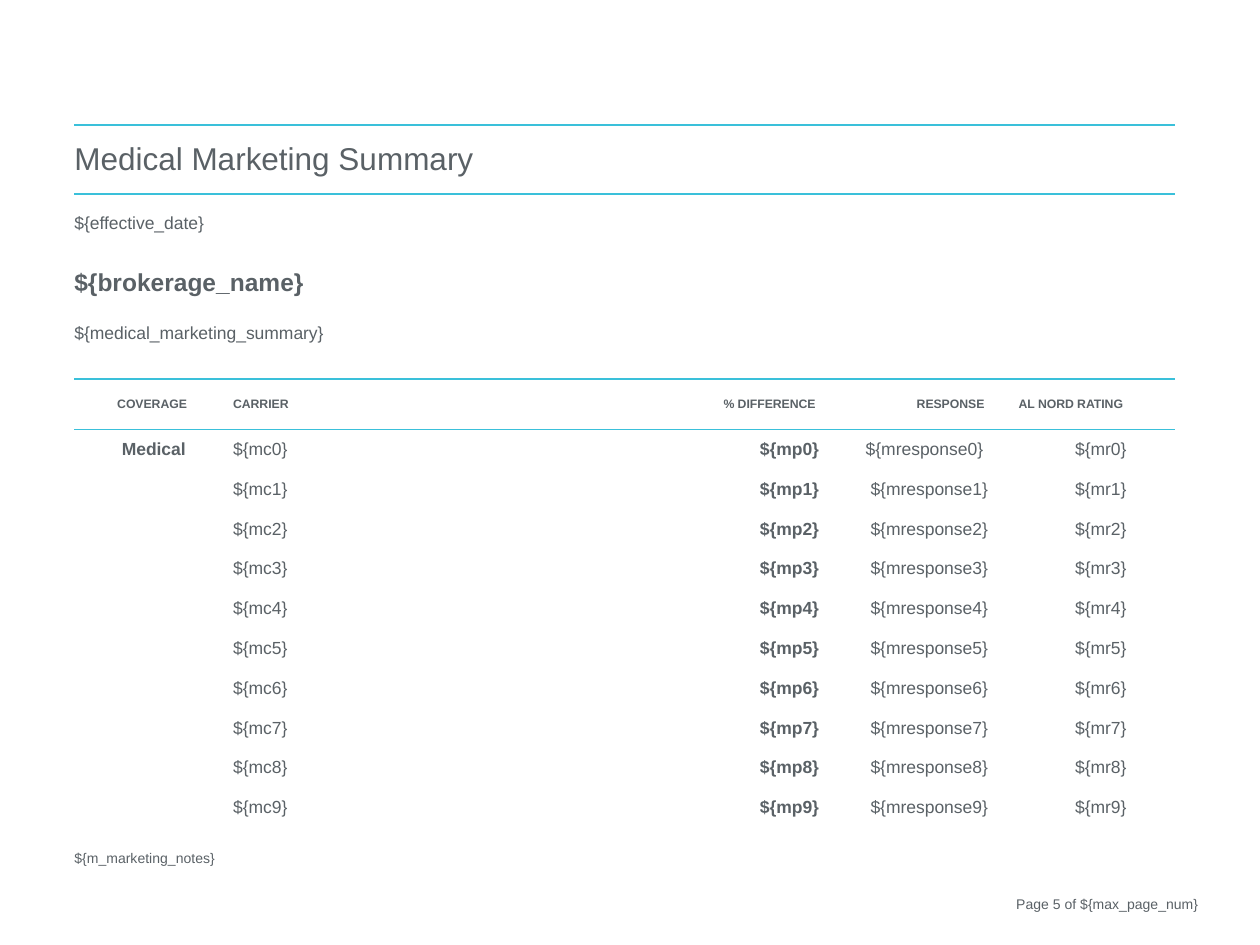
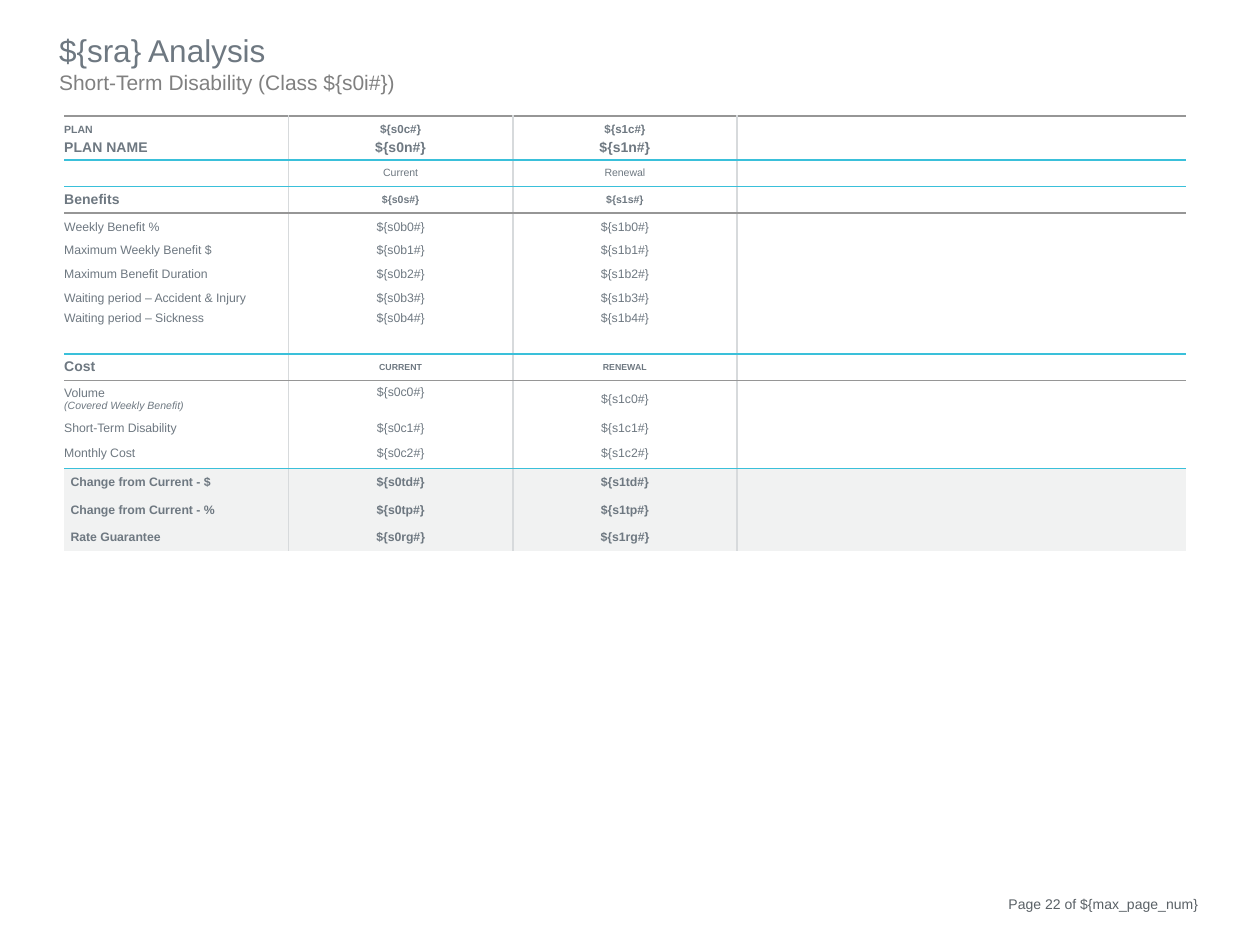
from lxml import etree
from pptx import Presentation
from pptx.dml.color import RGBColor
from pptx.enum.text import MSO_ANCHOR as Anchor, PP_ALIGN as Align
from pptx.oxml.ns import qn
from pptx.util import Inches, Pt

FONT = "Arial"
TEXT, SLATE, SUBTITLE = "5A6166", "6E7881", "808080"
CYAN, RULE_GRAY, DIVIDER, SHADE = "3AC0DA", "969696", "D7DADC", "F1F2F2"
NO_STYLE = "{2D5ABB26-0587-4C30-8999-92F81FD0307C}"

CARRIER_COLUMNS = [1.26, 2.21, 2.44, 1.34, 1.1, 0.39]
CARRIER_HEADINGS = ["COVERAGE ", "CARRIER", "% DIFFERENCE ", "RESPONSE ", "AL NORD RATING "]
CARRIER_ALIGNS = [Align.CENTER, Align.LEFT, Align.RIGHT, Align.RIGHT, Align.RIGHT]
CARRIER_COUNT = 10

# height, label, current, renewal, label size, value size, bold
PLAN_ROWS = [
    (0.16, "PLAN", "${s0c#}", "${s1c#}", 6, 6.6, True),
    (0.19, "PLAN NAME", "${s0n#}", "${s1n#}", 8, 8, True),
    (0.21, "", "Current", "Renewal", 6, 6, False),
    (0.21, "Benefits", "${s0s#}", "${s1s#}", 8, 6, True),
    (0.22, "Weekly Benefit %", "${s0b0#}", "${s1b0#}", 7, 7, False),
    (0.16, "Maximum Weekly Benefit $", "${s0b1#}", "${s1b1#}", 7, 7, False),
    (0.22, "Maximum Benefit Duration", "${s0b2#}", "${s1b2#}", 7, 7, False),
    (0.16, "Waiting period – Accident & Injury", "${s0b3#}", "${s1b3#}", 7, 7, False),
    (0.16, "Waiting period – Sickness", "${s0b4#}", "${s1b4#}", 7, 7, False),
    (0.2, "", "", "", 7, 7, False),
    (0.21, "Cost", "CURRENT", "RENEWAL", 8, 5, True),
    (0.3, "Volume", "${s0c0#}", "${s1c0#}", 7, 7, False),
    (0.16, "Short-Term Disability", "${s0c1#}", "${s1c1#}", 7, 7, False),
    (0.24, "Monthly Cost", "${s0c2#}", "${s1c2#}", 7, 7, False),
    (0.22, "Change from Current - $", "${s0td#}", "${s1td#}", 7, 7, True),
    (0.21, "Change from Current - %", "${s0tp#}", "${s1tp#}", 7, 7, True),
    (0.22, "Rate Guarantee", "${s0rg#}", "${s1rg#}", 7, 7, True),
]
PLAN_RULES = {0: RULE_GRAY, 2: CYAN, 3: CYAN, 4: RULE_GRAY, 10: CYAN, 11: RULE_GRAY, 14: CYAN}
VOLUME_ROW, FIRST_SHADED_ROW = 11, 14


def rgb(color):
    """Turn a hex string into a colour."""
    return RGBColor.from_string(color)


def add_run(paragraph, text, size, color, bold=False, italic=False):
    """Add one formatted run to a paragraph."""
    run = paragraph.add_run()
    run.text = text
    font = run.font
    font.name, font.size, font.bold, font.italic = FONT, Pt(size), bold, italic
    font.color.rgb = rgb(color)


def add_text(slide, box, lines, align=Align.LEFT):
    """Add a text box with one (text, size, colour) line per paragraph."""
    frame = slide.shapes.add_textbox(*map(Inches, box)).text_frame
    frame.word_wrap = True
    for index, line in enumerate(lines):
        paragraph = frame.add_paragraph() if index else frame.paragraphs[0]
        paragraph.alignment = align
        add_run(paragraph, *line)


def add_footer(slide, number):
    """Add the page number at the bottom right."""
    text = f"Page {number} of ${{max_page_num}}"
    add_text(slide, (7.36, 7.06, 2.25, 0.33), [(text, 8, TEXT)], Align.RIGHT)


def set_margins(cell, margin):
    """Give a cell the same margin on all sides."""
    cell.margin_left = cell.margin_right = Inches(margin)
    cell.margin_top = cell.margin_bottom = Inches(margin)


def add_table(slide, left, top, widths, heights):
    """Add a plain table whose empty cells cannot stretch their rows."""
    frame = slide.shapes.add_table(len(heights), len(widths), Inches(left), Inches(top),
                                   Inches(sum(widths)), Inches(sum(heights)))
    table = frame.table
    table.first_row = table.horz_banding = False
    table._tbl.tblPr.find(qn("a:tableStyleId")).text = NO_STYLE
    for column, width in zip(table.columns, widths):
        column.width = Inches(width)
    for row, height in zip(table.rows, heights):
        row.height = Inches(height)
    for cell in table.iter_cells():
        set_margins(cell, 0)
        cell.vertical_anchor = Anchor.MIDDLE
        cell.text_frame.paragraphs[0]._p.get_or_add_endParaRPr().set("sz", "500")
    return table


def write_cell(cell, text, size, color, bold=False, align=Align.LEFT):
    """Write one run into the first paragraph of a cell."""
    paragraph = cell.text_frame.paragraphs[0]
    paragraph.alignment = align
    if text:
        add_run(paragraph, text, size, color, bold)


def set_borders(cell, left=None, right=None, top=None, bottom=None):
    """Draw one-point borders on the sides with a colour and clear the others."""
    properties = cell._tc.get_or_add_tcPr()
    for side, color in zip("LRTB", (left, right, top, bottom)):
        line = etree.SubElement(properties, qn(f"a:ln{side}"), w=str(Pt(1)))
        if color:
            fill = etree.SubElement(line, qn("a:solidFill"))
            etree.SubElement(fill, qn("a:srgbClr"), val=color)
        else:
            etree.SubElement(line, qn("a:noFill"))


def fill_cell(cell, color=None):
    """Fill a cell, or leave it clear."""
    if color:
        cell.fill.solid()
        cell.fill.fore_color.rgb = rgb(color)
    else:
        cell.fill.background()


def write_summary(cell):
    """Write the date, brokerage and summary lines."""
    cell.vertical_anchor = Anchor.TOP
    cell.margin_top = Inches(0.16)
    write_cell(cell, "${effective_date}", 10, TEXT)
    for text, size, bold, gap in [("${brokerage_name}", 14, True, 20),
                                  ("${medical_marketing_summary}", 10, False, 15.5)]:
        paragraph = cell.text_frame.add_paragraph()
        paragraph.space_before = Pt(gap)
        add_run(paragraph, text, size, TEXT, bold)


def build_marketing_slide(slide):
    """Build the list of carriers and their responses."""
    heights = [0.55, 1.47, 0.4] + [3.16 / CARRIER_COUNT] * CARRIER_COUNT + [0.31]
    table = add_table(slide, 0.59, 0.99, CARRIER_COLUMNS, heights)
    last_row, last_column = len(heights) - 1, len(CARRIER_COLUMNS) - 1
    for row in range(len(heights)):
        for column in range(len(CARRIER_COLUMNS)):
            cell = table.cell(row, column)
            set_borders(cell, top=CYAN if row < 4 else None, bottom=CYAN if row < 3 else None)
            fill_cell(cell)
    table.cell(0, 0).merge(table.cell(0, last_column - 1))
    for row in (1, last_row):
        table.cell(row, 0).merge(table.cell(row, last_column))

    write_cell(table.cell(0, 0), "Medical Marketing Summary", 18, TEXT)
    write_summary(table.cell(1, 0))
    for column, heading in enumerate(CARRIER_HEADINGS):
        write_cell(table.cell(2, column), heading, 7, TEXT, True, CARRIER_ALIGNS[column])
    for index in range(CARRIER_COUNT):
        first = index == 0
        values = ["Medical" if first else "", f"${{mc{index}}}", f"${{mp{index}}}",
                  f"${{mresponse{index}}}" + (" " if first else ""), f"${{mr{index}}}"]
        for column, value in enumerate(values):
            write_cell(table.cell(index + 3, column), value, 10, TEXT,
                       column in (0, 2), CARRIER_ALIGNS[column])
    notes = table.cell(last_row, 0)
    notes.vertical_anchor = Anchor.BOTTOM
    write_cell(notes, "${m_marketing_notes}", 8, TEXT)
    add_footer(slide, 5)


def build_disability_slide(slide):
    """Build the comparison of current and renewal plans."""
    table = add_table(slide, 0.51, 0.92, [1.78] * 5, [row[0] for row in PLAN_ROWS])
    for row, (_, *texts, label_size, value_size, bold) in enumerate(PLAN_ROWS):
        shaded = row >= FIRST_SHADED_ROW
        for column in range(5):
            cell = table.cell(row, column)
            set_borders(cell, left=DIVIDER if 0 < column < 4 else None,
                        right=DIVIDER if column < 3 else None,
                        top=PLAN_RULES.get(row), bottom=PLAN_RULES.get(row + 1))
            fill_cell(cell, SHADE if shaded else None)
            if row == 0:
                cell.vertical_anchor = Anchor.BOTTOM
            if shaded:
                set_margins(cell, 0.05)
        for column, text in enumerate(texts):
            write_cell(table.cell(row, column), text, value_size if column else label_size,
                       SLATE, bold, Align.CENTER if column else Align.LEFT)
    volume_note = table.cell(VOLUME_ROW, 0).text_frame.add_paragraph()
    add_run(volume_note, "(Covered Weekly Benefit)", 6, SLATE, italic=True)
    table.cell(VOLUME_ROW, 1).margin_bottom = Inches(0.11)
    add_text(slide, (0.37, 0.2, 4.72, 0.61),
             [("${sra} Analysis", 18, SLATE),
              ("Short-Term Disability (Class ${s0i#})", 12, SUBTITLE)])
    add_footer(slide, 22)


def main():
    """Build and save the presentation."""
    presentation = Presentation()
    presentation.slide_width, presentation.slide_height = Inches(10), Inches(7.5)
    blank = presentation.slide_layouts[6]
    for build in (build_marketing_slide, build_disability_slide):
        build(presentation.slides.add_slide(blank))
    presentation.save("out.pptx")


if __name__ == "__main__":
    main()
